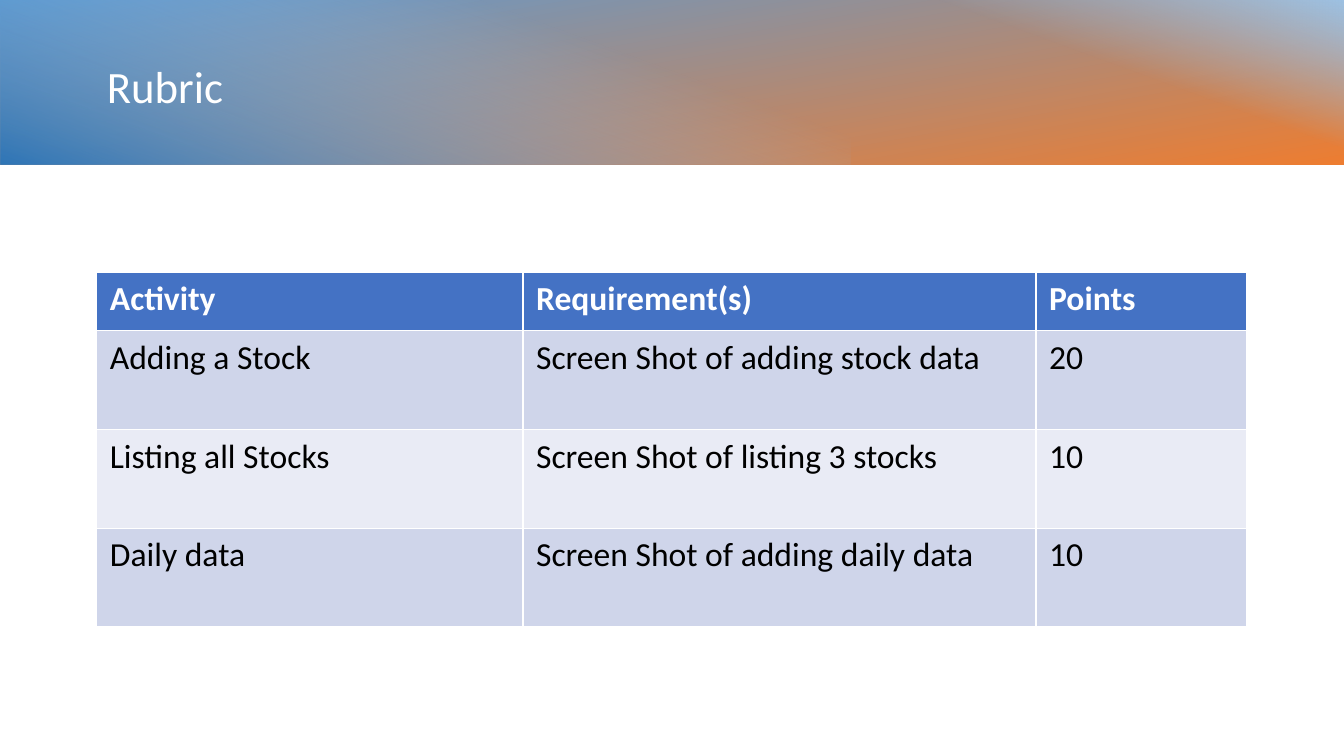
from lxml.etree import SubElement
from pptx import Presentation
from pptx.dml.color import RGBColor
from pptx.enum.text import MSO_ANCHOR, PP_ALIGN
from pptx.enum.shapes import MSO_SHAPE
from pptx.oxml.ns import qn
from pptx.util import Cm, Pt

WHITE = RGBColor(0xFF, 0xFF, 0xFF)
BLACK = RGBColor(0x00, 0x00, 0x00)
HEADER_BLUE = RGBColor(0x44, 0x72, 0xC4)
ROW_FILLS = (RGBColor(0xCF, 0xD5, 0xEA), RGBColor(0xE9, 0xEB, 0xF5))
SKY_BLUE = RGBColor(0x5B, 0x9B, 0xD5)
ORANGE = RGBColor(0xED, 0x7D, 0x31)
PALE_BLUE = RGBColor(0x9D, 0xC3, 0xE6)
DEEP_BLUE = RGBColor(0x2E, 0x75, 0xB6)

BANNER_TOP, BANNER_HEIGHT = -0.08, 4.22
COLUMN_WIDTHS = (10.74, 12.93, 5.31)
HEADER_HEIGHT, ROW_HEIGHT = 1.47, 2.49
RUBRIC = (
    ("Activity", "Requirement(s)", "Points"),
    ("Adding a Stock", "Screen Shot of adding stock data", "20"),
    ("Listing all Stocks", "Screen Shot of listing 3 stocks", "10"),
    ("Daily data", "Screen Shot of adding daily data", "10"),
)


class SlideBuilder:
    font_name = "Calibri"
    title_size = Pt(32)
    table_size = Pt(24)

    def __init__(self, presentation):
        self.slide = presentation.slides.add_slide(presentation.slide_layouts[5])

    def format_runs(self, paragraph, size, color, bold=False):
        for run in paragraph.runs:
            run.font.name = self.font_name
            run.font.size = size
            run.font.bold = bold
            run.font.color.rgb = color

    def add_banner_layer(self, left, width, rotation, angle, stops):
        """Add a turned rectangle; stops are (percent, color, opacity percent)."""
        center_x = left + width / 2
        center_y = BANNER_TOP + BANNER_HEIGHT / 2
        shape = self.slide.shapes.add_shape(
            MSO_SHAPE.RECTANGLE,
            Cm(center_x - BANNER_HEIGHT / 2), Cm(center_y - width / 2),
            Cm(BANNER_HEIGHT), Cm(width))
        shape.rotation = rotation
        shape.shadow.inherit = False
        shape.line.fill.background()
        shape.fill.gradient()
        gradient = shape.fill._xPr.find(qn("a:gradFill"))
        for child in list(gradient):
            gradient.remove(child)
        stop_list = SubElement(gradient, qn("a:gsLst"))
        for percent, color, opacity in stops:
            stop = SubElement(stop_list, qn("a:gs"), pos=str(percent * 1000))
            color_element = SubElement(stop, qn("a:srgbClr"), val=str(color))
            if opacity < 100:
                SubElement(color_element, qn("a:alpha"), val=str(opacity * 1000))
        SubElement(gradient, qn("a:lin"), ang=str(angle * 60000), scaled="0")

    def add_title(self, text):
        title = self.slide.shapes.title
        self.slide.shapes._spTree.append(title._element)  # in front of the banner
        title.left, title.top = Cm(2.44), Cm(0.84)
        title.width, title.height = Cm(29.11), Cm(2.79)
        title.text_frame.text = text
        title.text_frame.vertical_anchor = MSO_ANCHOR.MIDDLE
        paragraph = title.text_frame.paragraphs[0]
        paragraph.alignment = PP_ALIGN.LEFT
        paragraph.line_spacing = 0.9
        self.format_runs(paragraph, self.title_size, WHITE)

    def add_table(self, left, top, rows):
        height = HEADER_HEIGHT + ROW_HEIGHT * (len(rows) - 1)
        table = self.slide.shapes.add_table(
            len(rows), len(COLUMN_WIDTHS), Cm(left), Cm(top),
            Cm(sum(COLUMN_WIDTHS)), Cm(height)).table
        for column, width in zip(table.columns, COLUMN_WIDTHS):
            column.width = Cm(width)
        for row_index, texts in enumerate(rows):
            is_header = row_index == 0
            table.rows[row_index].height = Cm(HEADER_HEIGHT if is_header else ROW_HEIGHT)
            fill_color = HEADER_BLUE if is_header else ROW_FILLS[(row_index - 1) % 2]
            for column_index, text in enumerate(texts):
                cell = table.cell(row_index, column_index)
                cell.margin_left = cell.margin_right = Cm(0.33)
                cell.margin_top = cell.margin_bottom = Cm(0.17)
                cell.fill.solid()
                cell.fill.fore_color.rgb = fill_color
                cell.text_frame.text = text
                self.format_runs(cell.text_frame.paragraphs[0], self.table_size,
                                 WHITE if is_header else BLACK, bold=is_header)


def main():
    presentation = Presentation()
    presentation.slide_width, presentation.slide_height = Cm(33.87), Cm(19.05)
    builder = SlideBuilder(presentation)
    builder.add_banner_layer(0, 33.87, 270, 170, [(0, SKY_BLUE, 100), (100, ORANGE, 100)])
    builder.add_banner_layer(19.82, 14.07, 270, 20, [(59, PALE_BLUE, 0), (100, PALE_BLUE, 100)])
    builder.add_banner_layer(0, 21.44, 90, 20, [(29, PALE_BLUE, 0), (100, DEEP_BLUE, 100)])
    builder.add_title("Rubric")
    builder.add_table(2.44, 6.86, RUBRIC)
    presentation.save("out.pptx")


if __name__ == "__main__":
    main()
